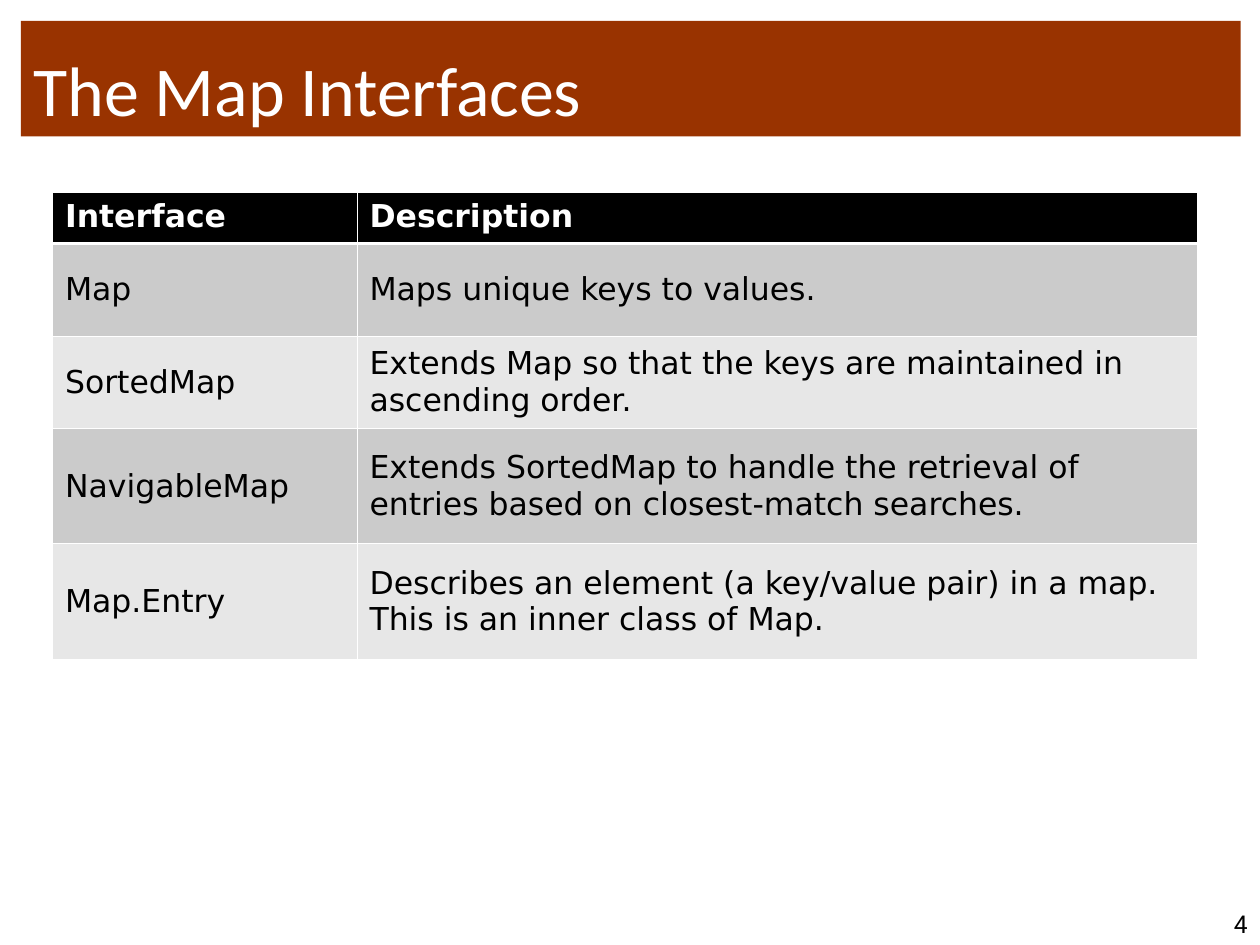
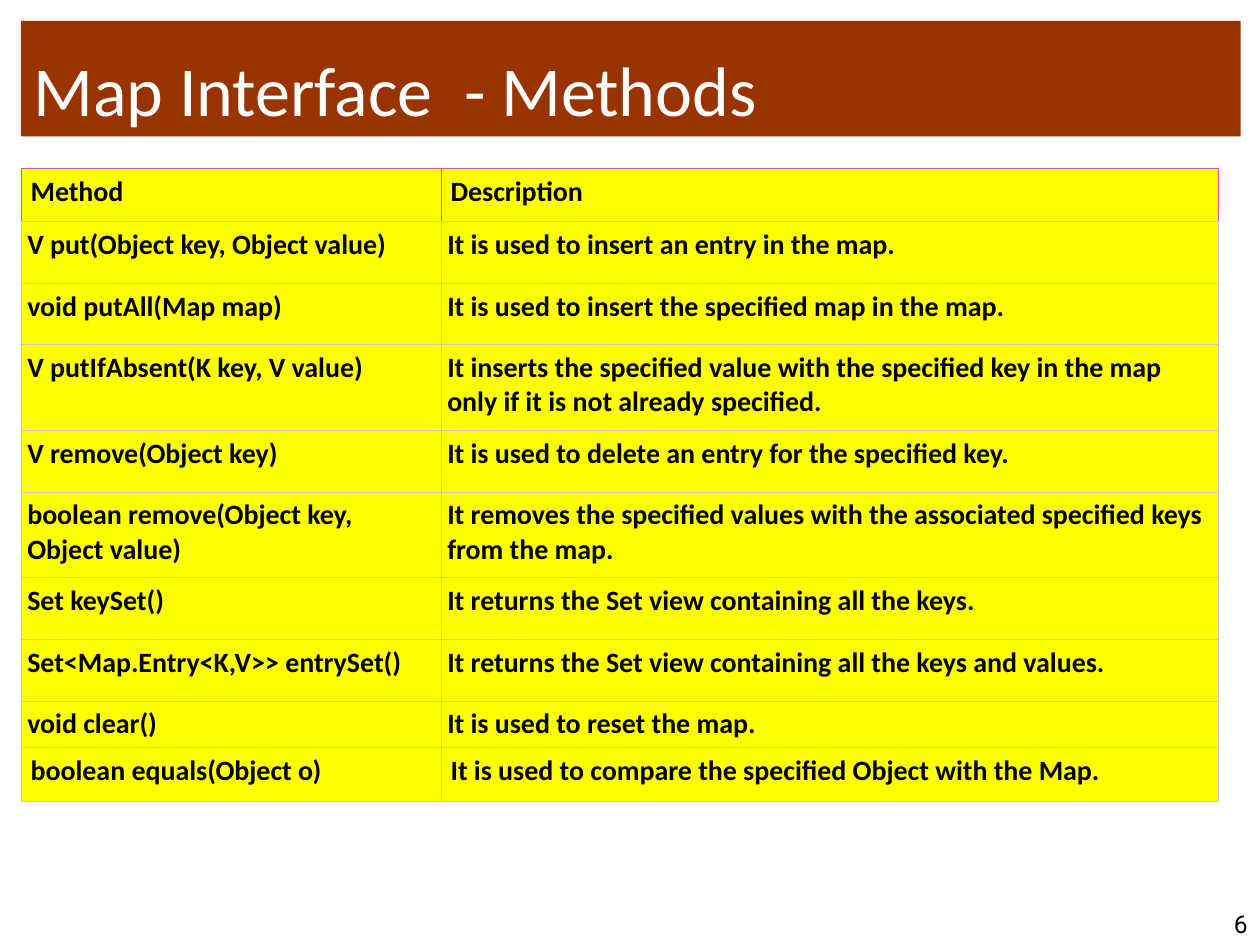
import lxml.etree
import pptx
import pptx.dml.color
import pptx.enum.text
import pptx.oxml.ns
import pptx.util

Pt = pptx.util.Pt
RGBColor = pptx.dml.color.RGBColor
Anchor = pptx.enum.text.MSO_ANCHOR
Align = pptx.enum.text.PP_ALIGN

RUST = RGBColor(0x99, 0x33, 0x00)
WHITE = RGBColor(0xFF, 0xFF, 0xFF)
BLACK = RGBColor(0x00, 0x00, 0x00)
DARK_GREY = RGBColor(0xCB, 0xCB, 0xCB)
LIGHT_GREY = RGBColor(0xE7, 0xE7, 0xE7)
YELLOW = RGBColor(0xFF, 0xFF, 0x00)
SAGE = RGBColor(0xC7, 0xCC, 0xBE)
PINK = RGBColor(0xE0, 0x4E, 0xB8)

TITLE_FONT = {"name": "Calibri", "size": Pt(40), "bold": False}
NUMBER_FONT = {"name": "Roboto", "size": Pt(14)}
INTERFACE_FONT = {"name": "DejaVu Sans", "size": Pt(18), "bold": False}
METHOD_FONT = {"name": "Calibri", "size": Pt(16), "bold": True}

INTERFACES = [
    ("Interface", "Description"),
    ("Map", "Maps unique keys to values."),
    ("SortedMap", "Extends Map so that the keys are maintained in ascending order."),
    ("NavigableMap", "Extends SortedMap to handle the retrieval of entries based on "
                     "closest-match searches."),
    ("Map.Entry", "Describes an element (a key/value pair) in a map. "
                  "This is an inner class of Map."),
]
METHODS = [
    ("Method", "Description"),
    ("V put(Object key, Object value)", "It is used to insert an entry in the map."),
    ("void putAll(Map map)", "It is used to insert the specified map in the map."),
    ("V putIfAbsent(K key, V value)", "It inserts the specified value with the specified key "
                                      "in the map only if it is not already specified."),
    ("V remove(Object key)", "It is used to delete an entry for the specified key."),
    ("boolean remove(Object key, Object value)",
     "It removes the specified values with the associated specified keys from the map."),
    ("Set keySet()", "It returns the Set view containing all the keys."),
    ("Set<Map.Entry<K,V>> entrySet()",
     "It returns the Set view containing all the keys and values."),
    ("void clear()", "It is used to reset the map."),
    ("boolean equals(Object o)", "It is used to compare the specified Object with the Map."),
]


def apply_format(target, values):
    for name, value in values.items():
        setattr(target, name, value)


def box(left, top, width, height):
    return {"left": Pt(left), "top": Pt(top), "width": Pt(width), "height": Pt(height)}


def margins(horizontal, vertical=3.6):
    return {"margin_left": Pt(horizontal), "margin_right": Pt(horizontal),
            "margin_top": Pt(vertical), "margin_bottom": Pt(vertical)}


def set_borders(cell, borders):
    """Draw borders given as {side: (colour, width)}, with sides in the order L, R, T, B."""
    properties = cell._tc.get_or_add_tcPr()
    for side, (color, width) in borders.items():
        line = lxml.etree.SubElement(properties, pptx.oxml.ns.qn(f"a:ln{side}"),
                                     w=str(int(Pt(width))))
        fill = lxml.etree.SubElement(line, pptx.oxml.ns.qn("a:solidFill"))
        lxml.etree.SubElement(fill, pptx.oxml.ns.qn("a:srgbClr"), val=str(color))


class Deck:
    def __init__(self):
        self.presentation = pptx.Presentation()
        apply_format(self.presentation, {"slide_width": Pt(720), "slide_height": Pt(540)})
        self.slide = None

    def add_text(self, frame, text, font, color, alignment=Align.LEFT):
        paragraph = frame.paragraphs[0]
        paragraph.alignment = alignment
        run = paragraph.add_run()
        run.text = text
        apply_format(run.font, font)
        run.font.color.rgb = color

    def add_slide(self, title, number):
        self.slide = self.presentation.slides.add_slide(self.presentation.slide_layouts[5])
        self.title(title)
        self.number(number)

    def title(self, text):
        shape = self.slide.shapes.title
        apply_format(shape, box(12, 12, 697, 66))
        shape.fill.solid()
        shape.fill.fore_color.rgb = RUST
        self.frame(shape, text, TITLE_FONT, WHITE)

    def number(self, number):
        shape = self.slide.shapes.add_textbox(**box(612, 504, 108, 36))
        self.frame(shape, str(number), NUMBER_FONT, BLACK, Align.RIGHT)

    def frame(self, shape, text, font, color, alignment=Align.LEFT):
        apply_format(shape.text_frame, {
            "word_wrap": True, "auto_size": pptx.enum.text.MSO_AUTO_SIZE.NONE,
            "vertical_anchor": Anchor.BOTTOM, **margins(7.2)})
        self.add_text(shape.text_frame, text, font, color, alignment)

    def table(self, left, top, widths, heights, rows, row_style):
        """Add a table; row_style(index) gives the look of each row."""
        place = box(left, top, sum(widths), sum(heights))
        table = self.slide.shapes.add_table(len(rows), len(widths), **place).table
        for column, width in zip(table.columns, widths):
            column.width = Pt(width)
        for index, (row, height, texts) in enumerate(zip(table.rows, heights, rows)):
            row.height = Pt(height)
            style = row_style(index)
            for cell, text in zip(row.cells, texts):
                apply_format(cell, style["cell"])
                set_borders(cell, style["borders"])
                cell.fill.solid()
                cell.fill.fore_color.rgb = style["fill"]
                self.add_text(cell.text_frame, text, style["font"], style["color"])


def interface_row(index):
    header = index == 0
    borders = {side: (WHITE, 0.45) for side in "LRTB"}
    if index < 2:
        borders["B" if header else "T"] = (WHITE, 1.47)
    return {
        "cell": {"vertical_anchor": Anchor.TOP if header else Anchor.MIDDLE, **margins(7.2)},
        "borders": borders,
        "fill": BLACK if header else DARK_GREY if index % 2 else LIGHT_GREY,
        "font": {**INTERFACE_FONT, "bold": header},
        "color": WHITE if header else BLACK,
    }


def method_row(index):
    header = index == 0
    outer = header or index == len(METHODS) - 1
    borders = {side: (PINK if header and side != "B" else SAGE, 0.34) for side in "LRTB"}
    return {
        "cell": {"vertical_anchor": Anchor.TOP, **margins(5.5 if outer else 3.6)},
        "borders": borders, "fill": YELLOW, "font": METHOD_FONT, "color": BLACK,
    }


def main():
    deck = Deck()
    deck.add_slide("The Map Interfaces", 4)
    deck.table(30, 110, [174, 480], [29.2, 52.8, 52.8, 66, 66], INTERFACES, interface_row)

    deck.add_slide("Map Interface  - Methods", 6)
    one_line, two_lines = 35.2, 49
    heights = [30.6, one_line, one_line, two_lines, one_line, two_lines, one_line, one_line,
               26.8, 30.6]
    deck.table(12, 96, [240, 444], heights, METHODS, method_row)
    deck.presentation.save("out.pptx")


if __name__ == "__main__":
    main()
